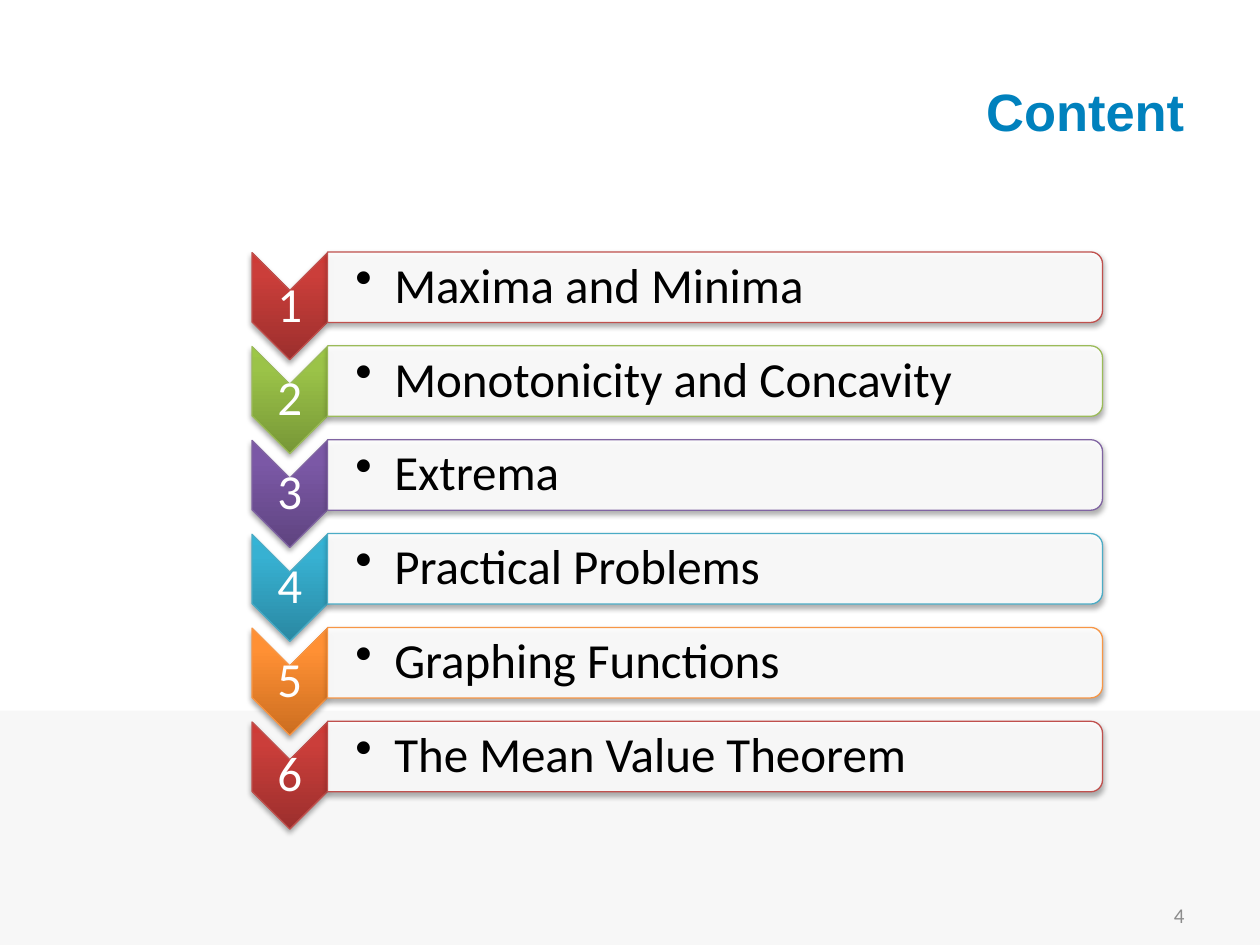
from copy import deepcopy

from lxml import etree
from pptx import Presentation
from pptx import util as u
from pptx.dml.color import RGBColor
from pptx.enum import shapes, text
from pptx.oxml import parse_xml
from pptx.oxml.ns import nsdecls, qn

INK = {
    "white": "FFFFFF", "black": "000000", "band": "F7F7F7",
    "title": "0081BD", "page": "8C8C8C",
}
# Each theme: line colour, then gradient stops from bottom to top
THEMES = [
    ("C0504D", "9C2F2D", "CB3E3A", "CE3B37"),
    ("9BBB59", "779737", "9BC348", "9DC746"),
    ("8064A2", "5F4480", "7B58A6", "7C57A8"),
    ("4BACC6", "2A88A2", "37B1D2", "34B4D6"),
    ("F79646", "CC6E20", "FF9034", "FF9136"),
]
TOPICS = [
    "Maxima and Minima", "Monotonicity and Concavity", "Extrema",
    "Practical Problems", "Graphing Functions", "The Mean Value Theorem",
]
FIRST, STEP = 2.28, 0.745  # centre of the first bar, row pitch
LEFT, EDGE, RIGHT = 2.0, 2.6, 8.75

SHADOW = f"""<a:effectLst {nsdecls("a")}>
  <a:outerShdw blurRad="40000" dist="23000" dir="5400000" rotWithShape="0">
    <a:srgbClr val="000000"><a:alpha val="35000"/></a:srgbClr>
  </a:outerShdw>
</a:effectLst>"""


def rgb(name):
    return RGBColor.from_string(INK.get(name, name))


def write(frame, words, size=28, font="Calibri", ink="black", bold=False,
          align="LEFT", pads=None, space=None, bullet=False):
    frame.word_wrap = True
    frame.auto_size = text.MSO_AUTO_SIZE.NONE
    frame.vertical_anchor = text.MSO_ANCHOR.MIDDLE
    if pads:
        (frame.margin_left, frame.margin_top,
         frame.margin_right, frame.margin_bottom) = map(u.Inches, pads)
    para = frame.paragraphs[0]
    para.alignment = getattr(text.PP_ALIGN, align)
    if space:
        para.line_spacing = space
    if bullet:
        props = para._p.get_or_add_pPr()
        props.set("marL", str(u.Inches(0.31)))
        props.set("indent", str(u.Inches(-0.31)))
        etree.SubElement(props, qn("a:buChar")).set("char", "•")
    run = para.add_run()
    run.text = words
    run.font.size = u.Pt(size)
    run.font.name = font
    run.font.bold = bold
    run.font.color.rgb = rgb(ink)


class Deck:
    def __init__(self):
        self.prs = Presentation()
        self.prs.slide_width = u.Inches(10)
        self.prs.slide_height = u.Inches(7.5)
        self.slide = self.prs.slides.add_slide(self.prs.slide_layouts[5])

    def title(self, words, box, **style):
        hold = self.slide.shapes.title
        hold.left, hold.top, hold.width, hold.height = map(u.Inches, box)
        write(hold.text_frame, words, **style)

    def label(self, words, box, **style):
        area = self.slide.shapes.add_textbox(*map(u.Inches, box))
        write(area.text_frame, words, **style)

    def shape(self, kind, box, line=None):
        """Add a preset shape; one with a line also gets a soft shadow."""
        item = self.slide.shapes.add_shape(
            getattr(shapes.MSO_SHAPE, kind), *map(u.Inches, box))
        item.shadow.inherit = False
        if line:
            item.line.color.rgb = rgb(line)
            item.line.width = u.Pt(0.75)
            props = item._element.spPr
            props.replace(props.find(qn("a:effectLst")), parse_xml(SHADOW))
        else:
            item.line.fill.background()
        return item

    def band(self, box):
        item = self.shape("RECTANGLE", box)
        item.fill.solid()
        item.fill.fore_color.rgb = rgb("band")

    def turned(self, kind, mid, size, line):
        """Add a shape turned by 90 degrees about its centre."""
        (x, y), (wide, high) = mid, size
        item = self.shape(kind, (x - wide / 2, y - high / 2, wide, high), line)
        item.rotation = 90
        return item

    def arrow(self, mid, line, *tones):
        item = self.turned("CHEVRON", mid, (0.85, 0.6), line)
        item.fill.gradient()
        item.fill.gradient_angle = 90
        grad = item._element.spPr.find(qn("a:gradFill"))
        grad.set("rotWithShape", "0")
        stops = grad.find(qn("a:gsLst"))
        stops.append(deepcopy(stops[-1]))
        for stop, place, tone in zip(item.fill.gradient_stops, (0, 0.8, 1), tones):
            stop.position = place
            stop.color.rgb = rgb(tone)

    def bar(self, mid, wide, line):
        item = self.turned("ROUND_2_SAME_RECTANGLE", mid, (0.56, wide), line)
        item.fill.solid()
        item.fill.fore_color.rgb = rgb("white")
        tone = item._element.spPr.find(qn("a:solidFill"))[0]
        etree.SubElement(tone, qn("a:alpha")).set("val", "90000")

    def row(self, num, topic, theme):
        y = FIRST + (num - 1) * STEP
        drop = y + 0.15
        self.arrow(((LEFT + EDGE) / 2, drop), *theme)
        self.label(str(num), (LEFT, drop - 0.13, EDGE - LEFT, 0.26), ink="white",
                   align="CENTER", pads=(0.02,) * 4, space=0.9)
        self.bar(((EDGE + RIGHT) / 2, y), RIGHT - EDGE, theme[0])
        self.label(topic, (EDGE, y - 0.25, 6.13, 0.5), bullet=True,
                   pads=(0.22, 0.02, 0.02, 0.02), space=0.9)


def main():
    deck = Deck()
    deck.band((0, 5.64, 10, 1.86))
    deck.title("Content", (0.5, 0.25, 9, 1.25), size=30, font="Arial",
               ink="title", bold=True, align="RIGHT")
    deck.label("4", (7.17, 7.06, 2.33, 0.4), size=12, ink="page", align="RIGHT")
    for num, topic in enumerate(TOPICS, 1):
        deck.row(num, topic, THEMES[(num - 1) % len(THEMES)])
    deck.prs.save("out.pptx")


if __name__ == "__main__":
    main()
